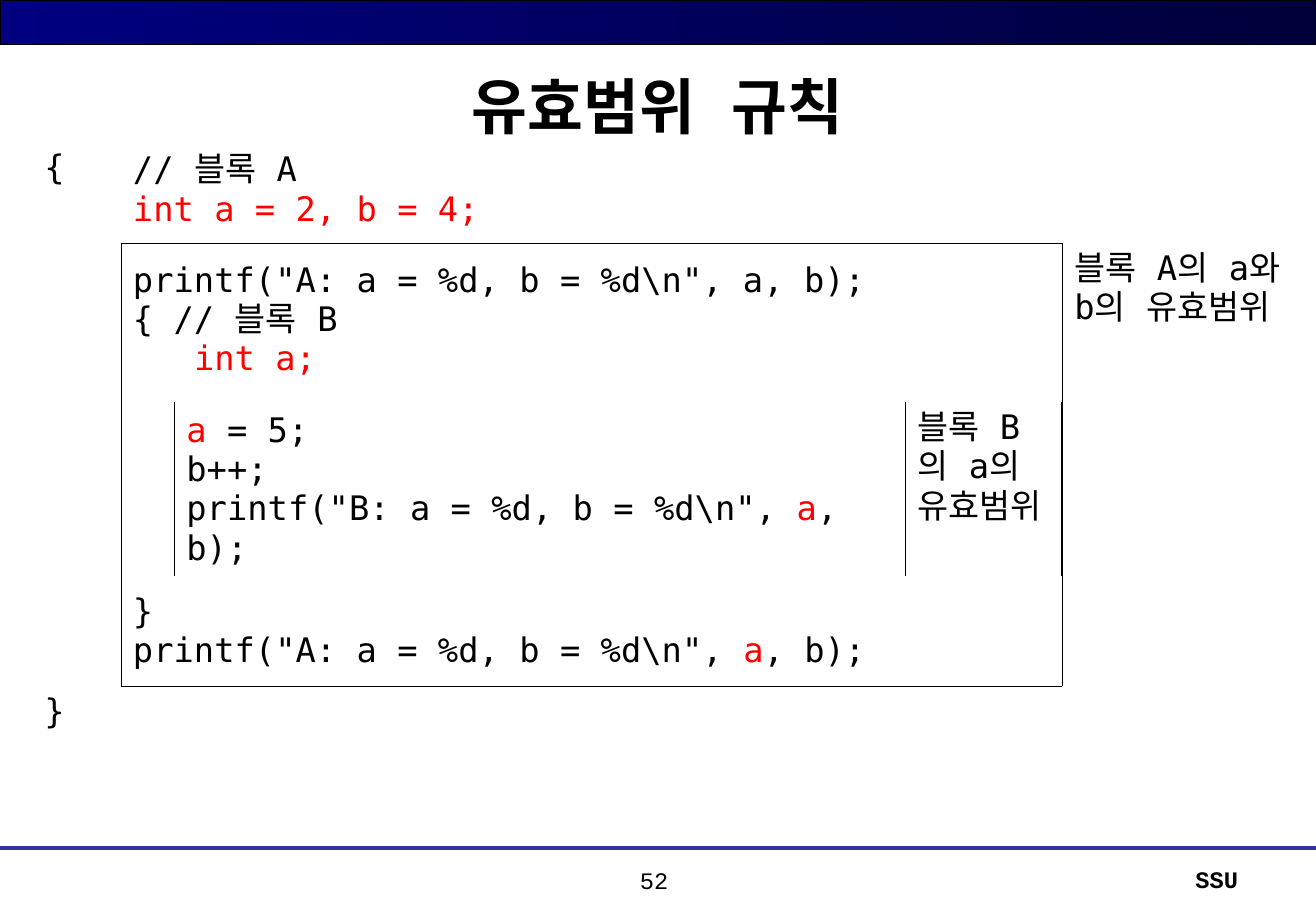
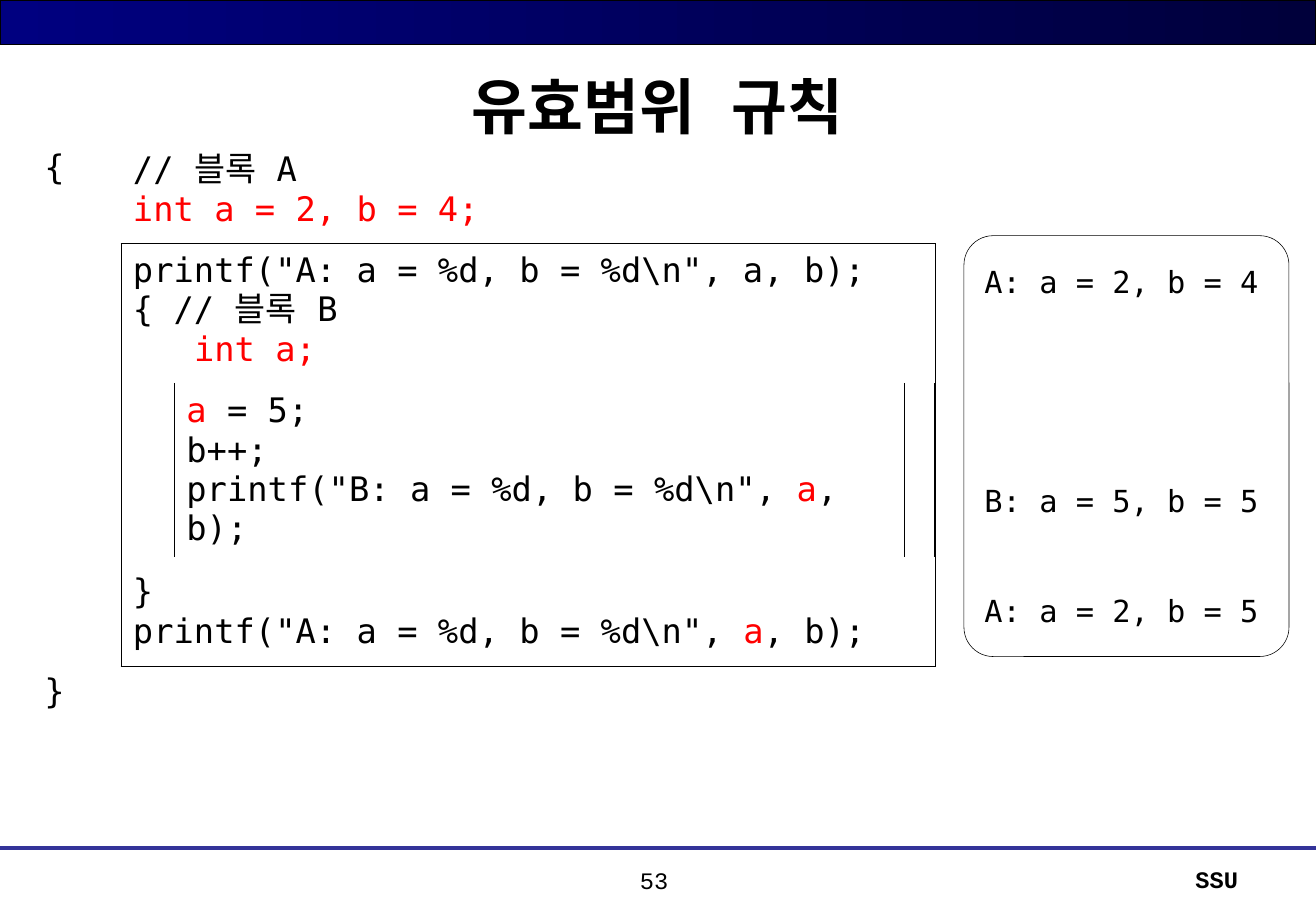
"""Build two slides on the scope rules of nested code blocks."""
from dataclasses import dataclass
from typing import Any, NamedTuple

import pptx
import pptx.dml.color
import pptx.enum.shapes
import pptx.enum.text
import pptx.oxml
import pptx.oxml.ns
import pptx.util
from lxml import etree

ALIGN = pptx.enum.text.PP_ALIGN
ANCHOR = pptx.enum.text.MSO_ANCHOR
SHAPE = pptx.enum.shapes.MSO_SHAPE


@dataclass(frozen=True)
class Theme:
    """Colours, fonts, type sizes and line widths in points."""

    ink: str = "000000"
    accent: str = "FF0000"
    band_start: str = "000080"
    band_end: str = "00003B"
    rule: str = "333399"
    heading_font: str = "Courier New"
    code_font: str = "DejaVu Sans Mono"
    title_size: float = 36
    code_size: float = 20
    output_size: float = 18
    footer_size: float = 14
    band_line: float = 0.75
    rule_line: float = 2.5
    output_line: float = 0.34
    thin_line: float = 0.11
    thick_line: float = 1.42


THEME = Theme()
WIDTH = pptx.util.Inches(10.84)
HEIGHT = pptx.util.Inches(7.5)


class Area(NamedTuple):
    """A rectangle in percent of the slide's size."""

    left: float
    top: float
    width: float
    height: float


class Style(NamedTuple):
    """The look of a run."""

    font: str
    size: float
    bold: bool = False


class Run(NamedTuple):
    """A piece of text in one colour."""

    text: str
    color: str = THEME.ink


class Line(NamedTuple):
    """A paragraph of runs with the space before it in points."""

    runs: tuple[Run, ...]
    space: float = 0


class Block(NamedTuple):
    """The text of one table cell, its bottom margin in percent."""

    row: int
    column: int
    lines: tuple[Line, ...]
    anchor: Any = ANCHOR.TOP
    bottom: float = 0.67


class Footer(NamedTuple):
    """The place and look of a footer text."""

    area: Area
    alignment: Any
    bold: bool


class Page(NamedTuple):
    """What differs from slide to slide."""

    number: str
    columns: tuple[float, ...]
    rows: tuple[float, ...]
    notes: tuple[Block, ...] = ()
    output: tuple[Line, ...] = ()


TITLE_STYLE = Style(THEME.heading_font, THEME.title_size, True)
CODE_STYLE = Style(THEME.code_font, THEME.code_size)
OUTPUT_STYLE = Style(THEME.code_font, THEME.output_size)

BAND_AREA = Area(0, 0, 100, 4.87)
RULE_TOP = 93.07
TITLE_AREA = Area(4.98, 4.8, 89.94, 13.47)
OUTPUT_AREA = Area(73.25, 25.87, 24.7, 46.2)
OUTPUT_CORNER = 0.09
SCHOOL = Footer(Area(71.1, 94.27, 23.89, 4.93), ALIGN.RIGHT, True)
NUMBER = Footer(Area(42.97, 94.4, 13.47, 4.93), ALIGN.CENTER, False)

TABLE_LEFT, TABLE_TOP = 2.45, 15.6
DEEP_MARGIN = 1.33
MERGED_ROWS = (0, 1, 3, 4)
SCOPE_ROWS = range(1, 4)
SCOPE_COLUMNS = range(1, 4)
INNER_ROW, INNER_COLUMN = 2, 2


def line(*pieces: str | Run, space: float = 0) -> Line:
    """Make a line from plain pieces and coloured runs."""
    runs = tuple(piece if isinstance(piece, Run) else Run(piece) for piece in pieces)
    return Line(runs, space)


def red(text: str) -> Run:
    """Make a highlighted run."""
    return Run(text, THEME.accent)


CODE = (
    Block(0, 0, (line("{"),)),
    Block(0, 1, (
        line("// 블록 A"),
        line(red("int a = 2, b = 4;")),
    ), ANCHOR.MIDDLE, DEEP_MARGIN),
    Block(1, 1, (
        line('printf("A: a = %d, b = %d\\n", a, b);'),
        line("{ // 블록 B"),
        line("   ", red("int a;")),
    ), ANCHOR.MIDDLE, DEEP_MARGIN),
    Block(2, 2, (
        line(red("a"), " = 5;"),
        line("b++;"),
        line('printf("B: a = %d, b = %d\\n", ', red("a"), ", b);"),
    ), ANCHOR.MIDDLE),
    Block(3, 1, (
        line("}"),
        line('printf("A: a = %d, b = %d\\n", ', red("a"), ", b);"),
    ), ANCHOR.MIDDLE),
    Block(4, 0, (line("}"),)),
)

PAGES = (
    Page("52", (6.73, 4.06, 55.54, 11.94, 17.53), (11.1, 17.46, 19.07, 12, 12), notes=(
        Block(1, 4, (line("블록 A의 a와 b의 유효범위"),)),
        Block(2, 3, (line("블록 B의 a의 유효범위"),)),
    )),
    Page("53", (6.73, 4.06, 55.46, 2.35, 2.21), (11.1, 15.27, 19.12, 12, 12), output=(
        line("A: a = 2, b = 4"),
        line("B: a = 5, b = 5", space=108),
        line("A: a = 2, b = 5", space=44),
    )),
)


def across(share: float) -> int:
    """Turn a percentage of the slide's width into a length."""
    return round(WIDTH * share / 100)


def down(share: float) -> int:
    """Turn a percentage of the slide's height into a length."""
    return round(HEIGHT * share / 100)


def place(area: Area) -> tuple[int, int, int, int]:
    """Turn an area into left, top, width and height."""
    return across(area.left), down(area.top), across(area.width), down(area.height)


def rgb(color: str) -> pptx.dml.color.RGBColor:
    """Turn a hexadecimal colour into a colour object."""
    return pptx.dml.color.RGBColor.from_string(color)


def write(frame: Any, lines: tuple[Line, ...], style: Style, alignment: Any) -> None:
    """Write lines into a text frame, run by run."""
    frame.word_wrap = True
    for index, content in enumerate(lines):
        paragraph = frame.add_paragraph() if index else frame.paragraphs[0]
        paragraph.alignment = alignment
        paragraph.space_before = pptx.util.Pt(content.space)
        for piece in content.runs:
            run = paragraph.add_run()
            run.text = piece.text
            run.font.name = style.font
            run.font.size = pptx.util.Pt(style.size)
            run.font.bold = style.bold
            run.font.color.rgb = rgb(piece.color)
            properties = run._r.get_or_add_rPr()
            etree.SubElement(properties, pptx.oxml.ns.qn("a:ea"), typeface=style.font)


def outline(shape: Any, color: str, width: float) -> None:
    """Give a shape or connector a plain line."""
    shape.line.color.rgb = rgb(color)
    shape.line.width = pptx.util.Pt(width)


def decorate_layout(layout: Any, slide: Any) -> None:
    """Put the top band and the footer rule on the layout."""
    for placeholder in list(layout.placeholders):
        if placeholder.placeholder_format.idx != 0:
            layout.shapes.element.remove(placeholder.element)
    band = slide.shapes.add_shape(SHAPE.RECTANGLE, *place(BAND_AREA))
    band.shadow.inherit = False
    band.fill.gradient()
    band.fill.gradient_angle = 0
    for stop, color in zip(band.fill.gradient_stops, (THEME.band_start, THEME.band_end)):
        stop.color.rgb = rgb(color)
    outline(band, THEME.ink, THEME.band_line)
    rule = slide.shapes.add_connector(
        pptx.enum.shapes.MSO_CONNECTOR.STRAIGHT,
        0, down(RULE_TOP), across(BAND_AREA.width), down(RULE_TOP),
    )
    outline(rule, THEME.rule, THEME.rule_line)
    etree.SubElement(rule.element.spPr, pptx.oxml.ns.qn("a:effectLst"))
    for position, shape in enumerate((band, rule), start=2):
        layout.shapes.element.insert(position, shape.element)


def add_title(slide: Any, text: str) -> None:
    """Place and format the title placeholder."""
    title = slide.shapes.title
    title.left, title.top, title.width, title.height = place(TITLE_AREA)
    title.text_frame.vertical_anchor = ANCHOR.MIDDLE
    title.text_frame.auto_size = pptx.enum.text.MSO_AUTO_SIZE.NONE
    write(title.text_frame, (line(text),), TITLE_STYLE, ALIGN.CENTER)


def add_footer(slide: Any, footer: Footer, text: str) -> None:
    """Add a footer text."""
    box = slide.shapes.add_textbox(*place(footer.area))
    style = Style(THEME.heading_font, THEME.footer_size, footer.bold)
    write(box.text_frame, (line(text),), style, footer.alignment)


def border_widths(row: int, column: int) -> dict[str, float]:
    """Work out the border widths of a cell from the two scope boxes."""
    in_rows, in_columns = row in SCOPE_ROWS, column in SCOPE_COLUMNS

    def upright(edge: int) -> float:
        """Width of the vertical border at the left of a column."""
        if row == INNER_ROW and edge == SCOPE_COLUMNS.stop:
            return THEME.thick_line
        inner = row == INNER_ROW and edge in (INNER_COLUMN, INNER_COLUMN + 1)
        outer = in_rows and edge in (SCOPE_COLUMNS.start, SCOPE_COLUMNS.stop)
        return THEME.thin_line if inner or outer else 0

    def level(edge: int) -> float:
        """Width of the horizontal border at the top of a row."""
        outer = in_columns and edge in (SCOPE_ROWS.start, SCOPE_ROWS.stop)
        return THEME.thin_line if outer else 0

    return {"L": upright(column), "R": upright(column + 1), "T": level(row), "B": level(row + 1)}


def draw_borders(cell: Any, widths: dict[str, float]) -> None:
    """Set the four borders of a cell."""
    properties = cell._tc.get_or_add_tcPr()
    for position, (side, width) in enumerate(widths.items()):
        paint = f'<a:solidFill><a:srgbClr val="{THEME.ink}"/></a:solidFill>' if width else "<a:noFill/>"
        border = pptx.oxml.parse_xml(
            f'<a:ln{side} {pptx.oxml.ns.nsdecls("a")} w="{pptx.util.Pt(width)}">{paint}</a:ln{side}>'
        )
        properties.insert(position, border)


def add_code_table(slide: Any, page: Page) -> None:
    """Add the code as a table with bordered scopes."""
    area = Area(TABLE_LEFT, TABLE_TOP, sum(page.columns), sum(page.rows))
    table = slide.shapes.add_table(len(page.rows), len(page.columns), *place(area)).table
    table.first_row = table.horz_banding = False
    for column, share in zip(table.columns, page.columns):
        column.width = across(share)
    for row_index, share in enumerate(page.rows):
        table.rows[row_index].height = down(share)
        for column_index in range(len(page.columns)):
            cell = table.cell(row_index, column_index)
            cell.fill.background()
            draw_borders(cell, border_widths(row_index, column_index))
    for row_index in MERGED_ROWS:
        table.cell(row_index, 1).merge(table.cell(row_index, 2))
    for block in CODE + page.notes:
        cell = table.cell(block.row, block.column)
        cell.vertical_anchor = block.anchor
        cell.margin_bottom = down(block.bottom)
        write(cell.text_frame, block.lines, CODE_STYLE, ALIGN.LEFT)


def add_output(slide: Any, lines: tuple[Line, ...]) -> None:
    """Add the rounded box with the program's output."""
    box = slide.shapes.add_shape(SHAPE.ROUNDED_RECTANGLE, *place(OUTPUT_AREA))
    box.adjustments[0] = OUTPUT_CORNER
    box.shadow.inherit = False
    box.fill.background()
    outline(box, THEME.ink, THEME.output_line)
    box.text_frame.vertical_anchor = ANCHOR.MIDDLE
    write(box.text_frame, lines, OUTPUT_STYLE, ALIGN.JUSTIFY)


def main() -> None:
    """Build and save the presentation."""
    presentation = pptx.Presentation()
    presentation.slide_width, presentation.slide_height = WIDTH, HEIGHT
    layout = presentation.slide_layouts[5]
    for index, page in enumerate(PAGES):
        slide = presentation.slides.add_slide(layout)
        if index == 0:
            decorate_layout(layout, slide)
        add_title(slide, "유효범위 규칙")
        add_footer(slide, SCHOOL, "SSU")
        add_footer(slide, NUMBER, page.number)
        add_code_table(slide, page)
        if page.output:
            add_output(slide, page.output)
    presentation.save("out.pptx")


if __name__ == "__main__":
    main()
